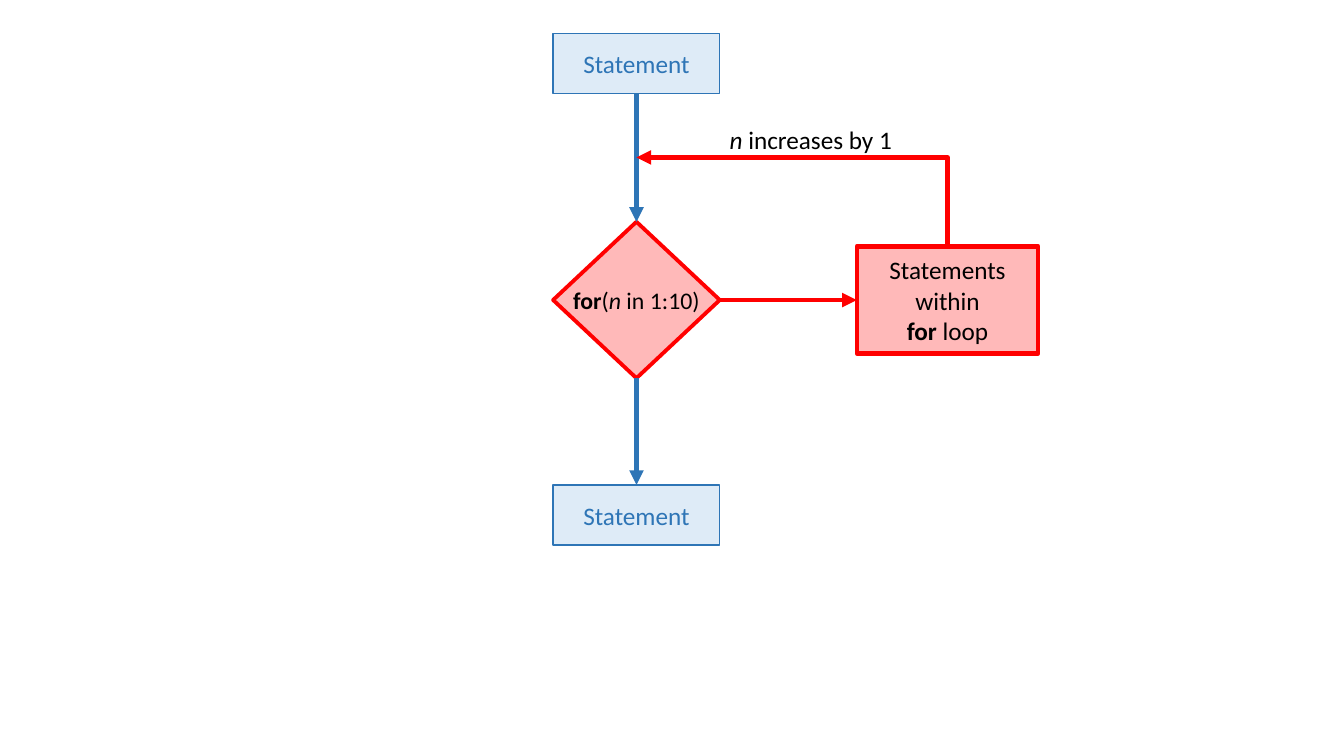
from lxml import etree
from pptx import Presentation
from pptx.dml.color import RGBColor
from pptx.enum.shapes import MSO_CONNECTOR, MSO_SHAPE
from pptx.enum.text import MSO_ANCHOR, PP_ALIGN
from pptx.oxml.ns import qn
from pptx.util import Cm, Pt

RECT, DIAMOND = MSO_SHAPE.RECTANGLE, MSO_SHAPE.DIAMOND
STRAIGHT, ELBOW = MSO_CONNECTOR.STRAIGHT, MSO_CONNECTOR.ELBOW
LEFT, CENTER = PP_ALIGN.LEFT, PP_ALIGN.CENTER
MIDDLE = MSO_ANCHOR.MIDDLE
SITE_TOP, SITE_LEFT, SITE_BOTTOM, SITE_RIGHT = range(4)
BLUE, PALE, RED, PINK, BLACK = "2E75B6", "DEEBF7", "FF0000", "FFB9B9", "000000"


def color(hue):
    """Turn a hex string into a colour."""
    return RGBColor.from_string(hue)


def write(shape, lines, size=18, hue=BLACK, align=CENTER, font="Calibri"):
    """Fill a shape with lines, each a list of (text, style) runs."""
    frame = shape.text_frame
    frame.word_wrap = True
    frame.vertical_anchor = MIDDLE
    for i, runs in enumerate(lines):
        para = frame.paragraphs[0] if i == 0 else frame.add_paragraph()
        para.alignment = align
        for text, style in runs:
            run = para.add_run()
            run.text = text
            run.font.name = font
            run.font.size = Pt(size)
            run.font.color.rgb = color(hue)
            run.font.bold = style == "bold"
            run.font.italic = style == "italic"


class Chart:
    """Flow chart drawn on one slide, with lengths in centimetres."""

    arrow = 3.5

    def __init__(self, slide):
        """Keep the slide to draw on."""
        self.shapes = slide.shapes

    def node(self, kind, left, top, width, height, fill, edge, weight):
        """Add a filled and outlined shape."""
        shape = self.shapes.add_shape(kind, Cm(left), Cm(top), Cm(width), Cm(height))
        shape.shadow.inherit = False
        shape.fill.solid()
        shape.fill.fore_color.rgb = color(fill)
        shape.line.color.rgb = color(edge)
        shape.line.width = Pt(weight)
        return shape

    def label(self, left, top, width, height, lines, **style):
        """Add free text without side margins."""
        box = self.shapes.add_textbox(Cm(left), Cm(top), Cm(width), Cm(height))
        box.text_frame.margin_left = box.text_frame.margin_right = 0
        write(box, lines, **style)

    def ink(self, line, hue):
        """Give a connector its colour, width and arrowhead."""
        line.line.color.rgb = color(hue)
        line.line.width = Pt(self.arrow)
        stroke = line.line._get_or_add_ln()
        etree.SubElement(stroke, qn("a:tailEnd"), type="triangle")
        etree.SubElement(line._element.spPr, qn("a:effectLst"))

    def link(self, start, out, end, into, hue):
        """Join two shapes with a straight arrow."""
        line = self.shapes.add_connector(STRAIGHT, 0, 0, 0, 0)
        line.begin_connect(start, out)
        line.end_connect(end, into)
        self.ink(line, hue)

    def bend(self, x1, y1, x2, y2, hue):
        """Add an arrow that runs up from x1, y1 and then left to x2, y2."""
        rise, run = y1 - y2, x1 - x2
        left, top = (x1 + x2 - rise) / 2, (y1 + y2 - run) / 2
        line = self.shapes.add_connector(
            ELBOW, Cm(left), Cm(top + run), Cm(left + rise), Cm(top))
        spot = line._element.spPr.find(qn("a:xfrm"))
        spot.set("rot", str(270 * 60000))
        line._element.spPr.find(qn("a:prstGeom")).set("prst", "bentConnector2")
        self.ink(line, hue)


def main():
    """Build the for loop slide."""
    deck = Presentation()
    deck.slide_width, deck.slide_height = Cm(33.87), Cm(19.05)
    chart = Chart(deck.slides.add_slide(deck.slide_layouts[6]))

    left, width = 13.94, 4.2
    mid = left + width / 2
    first, last = [
        chart.node(RECT, left, top, width, 1.52, PALE, BLUE, 1)
        for top in (0.84, 12.22)
    ]
    for box in (first, last):
        write(box, [[("Statement", "")]], hue=BLUE)

    test = chart.node(DIAMOND, left, 5.59, width, 3.94, PINK, RED, 2.75)
    body = chart.node(RECT, 21.59, 6.21, 4.58, 2.7, PINK, RED, 3)
    write(body, [[("Statements", "")], [("within", "")],
                 [("for", "bold"), (" loop", "")]])

    chart.link(first, SITE_BOTTOM, test, SITE_TOP, BLUE)
    chart.link(test, SITE_BOTTOM, last, SITE_TOP, BLUE)
    chart.link(test, SITE_RIGHT, body, SITE_LEFT, RED)
    chart.bend(23.88, 6.21, mid, 3.97, RED)

    chart.label(18.39, 3, 4.45, 1.02,
                [[("n", "italic"), (" increases by 1", "")]], align=LEFT)
    chart.label(left, 7.06, width, 0.99,
                [[("for", "bold"), ("(", ""), ("n", "italic"), (" in 1:10)", "")]],
                size=17)
    deck.save("out.pptx")


if __name__ == "__main__":
    main()
